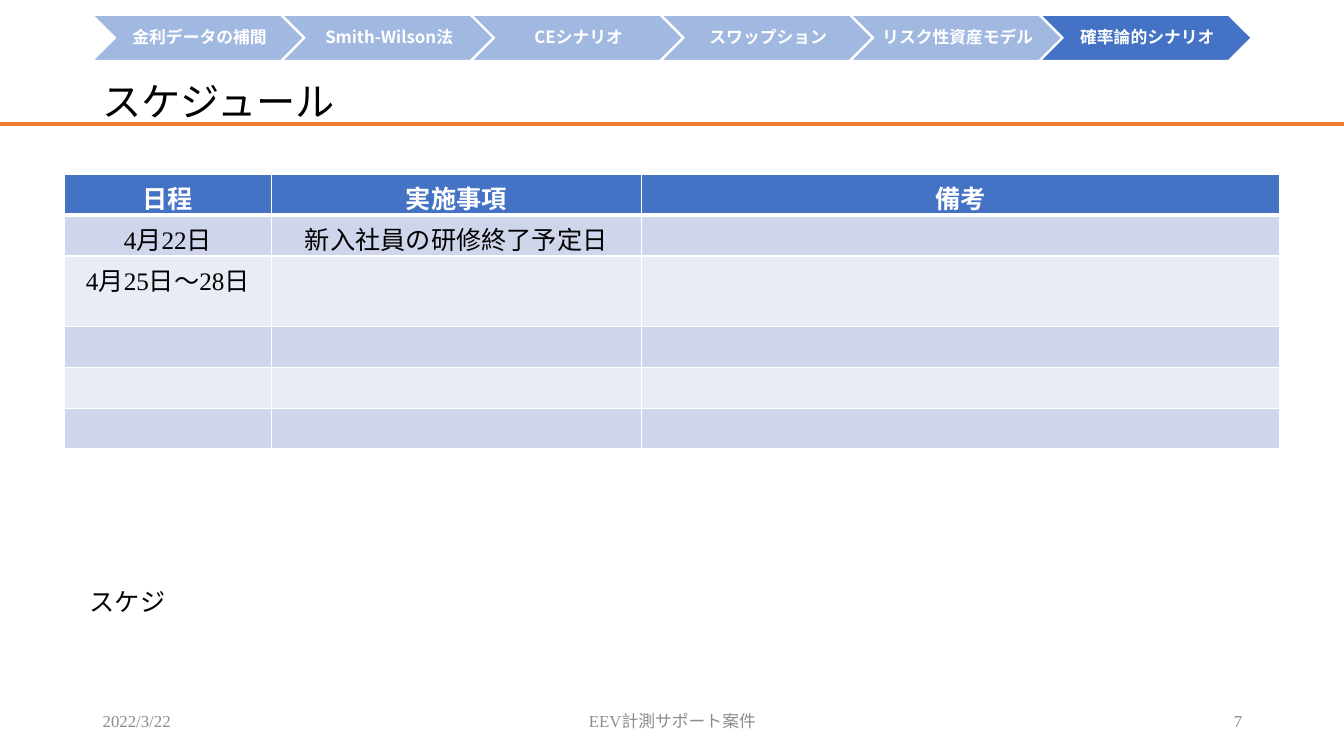
from lxml.etree import SubElement
from pptx import Presentation
from pptx.dml.color import RGBColor
from pptx.enum.shapes import MSO_CONNECTOR, MSO_SHAPE
from pptx.enum.text import MSO_ANCHOR, PP_ALIGN
from pptx.oxml.ns import qn
from pptx.util import Inches, Pt

COLORS = {
    "blue": "4472C4", "orange": "ED7D31", "white": "FFFFFF", "black": "000000",
    "gray": "8C8C8C", "band_dark": "CFD5EA", "band_light": "E9EBF5",
}
SERIF, SANS = "Times New Roman", "Noto Sans CJK JP"


def color(name):
    return RGBColor.from_string(COLORS[name])


def write(frame, text, size=18, font=SERIF, ink="black", bold=False,
          align=PP_ALIGN.LEFT, spacing=1.0):
    frame.word_wrap = True
    para = frame.paragraphs[0]
    para.alignment = align
    para.line_spacing = spacing
    span = para.add_run()
    span.text = text
    span.font.size = Pt(size)
    span.font.name = font
    span.font.bold = bold
    span.font.color.rgb = color(ink)
    SubElement(span.font._element, qn("a:ea"), typeface=SANS)


deck = Presentation()
deck.slide_width, deck.slide_height = Inches(13.33), Inches(7.5)
page = deck.slides.add_slide(deck.slide_layouts[6])

# Rule under the title
rule = page.shapes.add_connector(
    MSO_CONNECTOR.STRAIGHT, 0, Inches(1.23), deck.slide_width, Inches(1.23))
rule.line.color.rgb = color("orange")
rule.line.width = Pt(2.25)
SubElement(rule._element.spPr, qn("a:effectLst"))

# Title, footer and note
text_boxes = [
    ("スケジュール", (0.92, 0.68, 11.5, 0.69), {"size": 28, "spacing": 0.9}),
    ("2022/3/22", (0.92, 6.95, 3, 0.4), {"size": 12, "ink": "gray"}),
    ("EEV計測サポート案件", (4.42, 6.95, 4.5, 0.4),
     {"size": 12, "ink": "gray", "align": PP_ALIGN.CENTER}),
    ("7", (9.42, 6.95, 3, 0.4),
     {"size": 12, "ink": "gray", "align": PP_ALIGN.RIGHT}),
    ("スケジ", (0.79, 5.77, 6.68, 0.4), {"font": SANS}),
]
for text, place, style in text_boxes:
    box = page.shapes.add_textbox(*map(Inches, place))
    box.text_frame.vertical_anchor = MSO_ANCHOR.MIDDLE
    write(box.text_frame, text, **style)

# Progress chevrons, the last step being the current one
steps = ["金利データの補間", "Smith-Wilson法", "CEシナリオ",
         "スワップション", "リスク性資産モデル", "確率論的シナリオ"]
for index, step in enumerate(steps):
    chevron = page.shapes.add_shape(
        MSO_SHAPE.CHEVRON, Inches(0.92 + 1.88 * index), Inches(0.15),
        Inches(2.09), Inches(0.45))
    chevron.shadow.inherit = False
    chevron.fill.solid()
    chevron.fill.fore_color.rgb = color("blue")
    if step != steps[-1]:
        fill_color = chevron._element.spPr.find(".//" + qn("a:srgbClr"))
        SubElement(fill_color, qn("a:alpha"), val="50000")
    chevron.line.color.rgb = color("white")
    chevron.line.width = Pt(1)
    frame = chevron.text_frame
    frame.margin_left = Inches(0.05)
    frame.margin_top = frame.margin_right = frame.margin_bottom = Inches(0.02)
    frame.vertical_anchor = MSO_ANCHOR.MIDDLE
    write(frame, step, size=12, font=SANS, ink="white", bold=True,
          align=PP_ALIGN.CENTER, spacing=0.9)

# Schedule table
rows = [
    ("日程", "実施事項", "備考"),
    ("4月22日", "新入社員の研修終了予定日", ""),
    ("4月25日～28日", "", ""),
    ("", "", ""),
    ("", "", ""),
    ("", "", ""),
]
widths = [2.05, 3.67, 6.33]
table = page.shapes.add_table(
    len(rows), len(widths), Inches(0.64), Inches(1.73),
    Inches(sum(widths)), Inches(2.43)).table
for column, width in zip(table.columns, widths):
    column.width = Inches(width)

for row_index, row in enumerate(rows):
    header = row_index == 0
    band = "blue" if header else ("band_light", "band_dark")[row_index % 2]
    for column_index, text in enumerate(row):
        cell = table.cell(row_index, column_index)
        if text:
            write(cell.text_frame, text, ink="white" if header else "black",
                  bold=header, align=PP_ALIGN.CENTER)
        else:
            cell.text_frame.paragraphs[0].font.size = Pt(18)
        # Borders come before the fill in the cell properties
        properties = cell._tc.get_or_add_tcPr()
        for side in ("lnL", "lnR", "lnT", "lnB"):
            heavy = (header and side == "lnB") or (row_index == 1 and side == "lnT")
            border = SubElement(properties, qn("a:" + side),
                                w=str(Pt(3 if heavy else 1)))
            paint = SubElement(border, qn("a:solidFill"))
            SubElement(paint, qn("a:srgbClr"), val=COLORS["white"])
        cell.fill.solid()
        cell.fill.fore_color.rgb = color(band)

deck.save("out.pptx")
